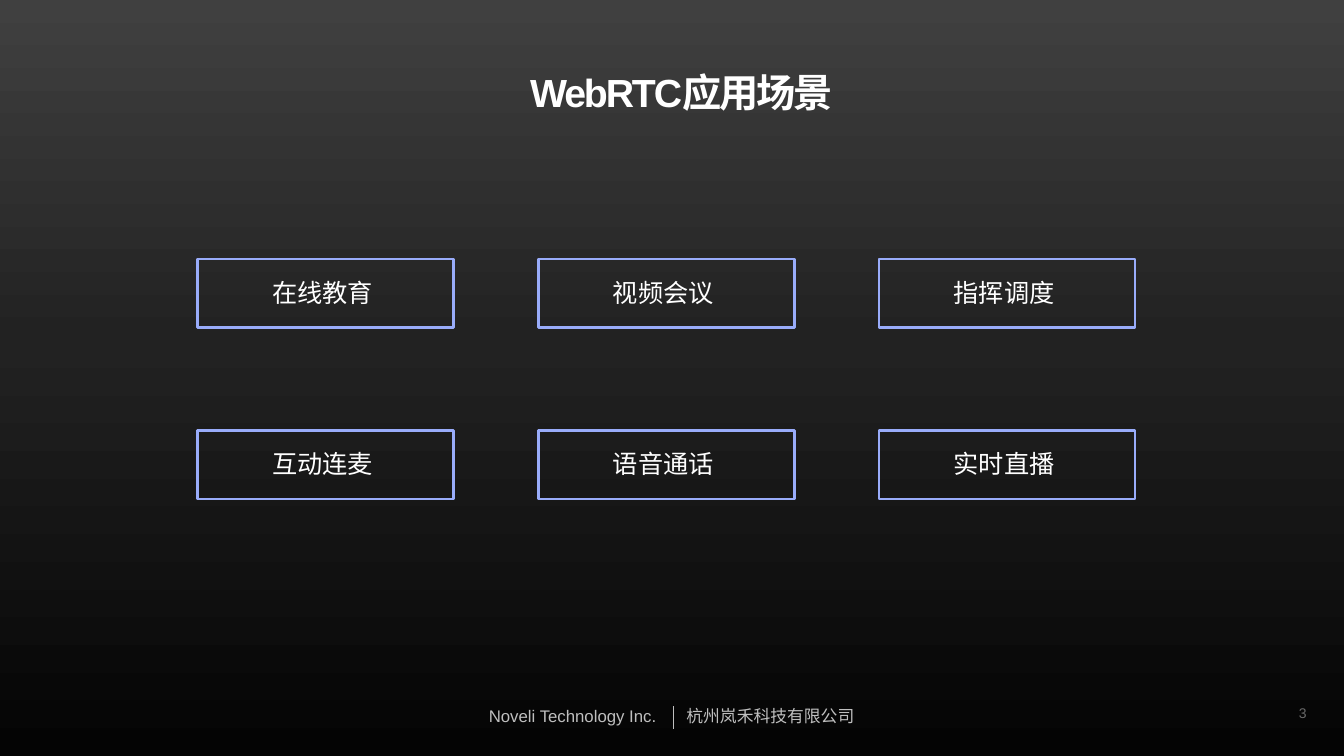
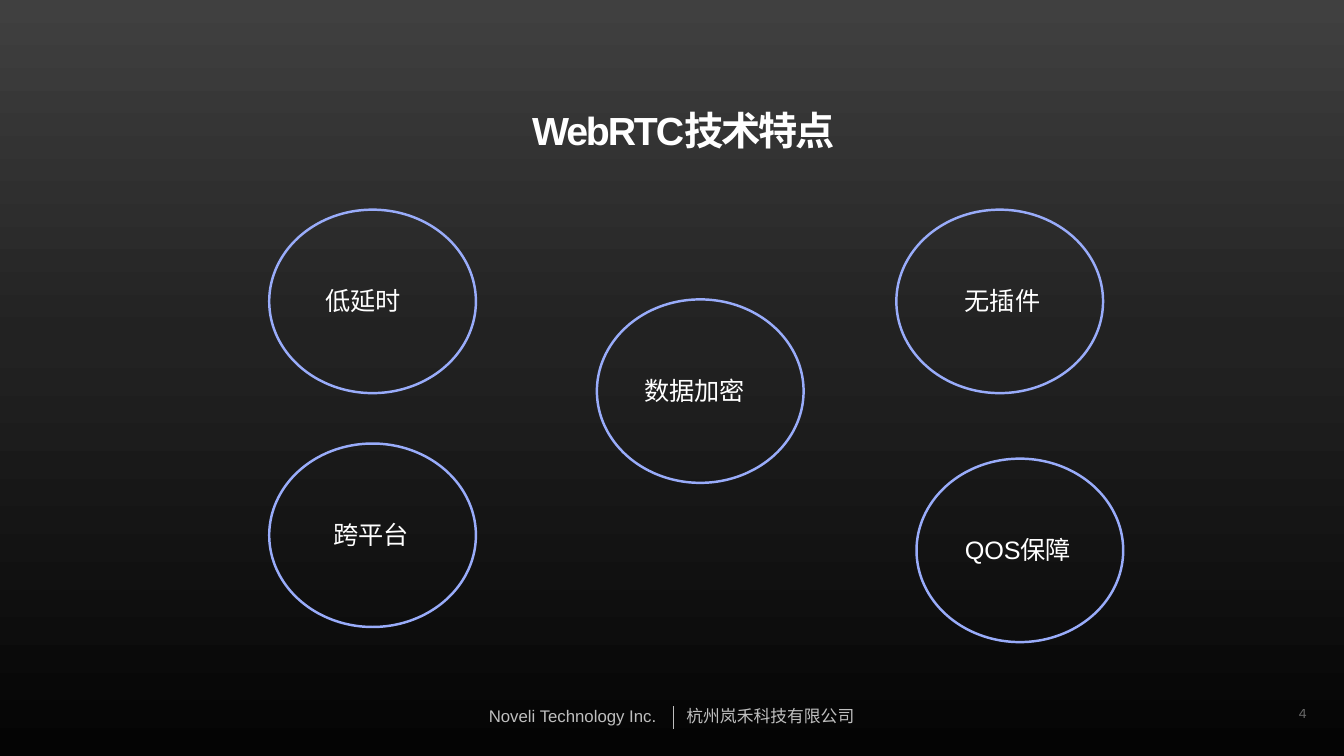
"""Build two dark slides on WebRTC use cases and features."""
from copy import deepcopy

from lxml import etree
from pptx import Presentation
from pptx.dml.color import RGBColor
from pptx.enum.shapes import MSO_CONNECTOR, MSO_SHAPE
from pptx.enum.text import MSO_ANCHOR, MSO_AUTO_SIZE, PP_ALIGN
from pptx.oxml.ns import qn
from pptx.util import Inches, Pt

RECTANGLE, OVAL = MSO_SHAPE.RECTANGLE, MSO_SHAPE.OVAL
STRAIGHT = MSO_CONNECTOR.STRAIGHT
MIDDLE, CENTER = MSO_ANCHOR.MIDDLE, PP_ALIGN.CENTER
GROW = MSO_AUTO_SIZE.SHAPE_TO_FIT_TEXT
FONT = "Arial"
COLORS = {
    "text": "FFFFFF",
    "footer": "BFBFBF",
    "outline": "99ACFA",
    "top": "404040",
    "middle": "222222",
    "bottom": "040404",
}
BACKDROP = ((0, "top"), (0.45, "middle"), (1, "bottom"))


def rgb(name):
    return RGBColor.from_string(COLORS[name])


class SlideBuilder:
    """Holds the deck, its style and the current page."""

    def __init__(self):
        self.deck = Presentation()
        self.deck.slide_width = Inches(13.33)
        self.deck.slide_height = Inches(7.5)
        self.page = None

    def start_page(self, number, title, left, top):
        self.page = self.deck.slides.add_slide(self.deck.slide_layouts[6])
        self.backdrop()
        self.footer()
        self.page_number(number)
        self.title(title, left, top)

    def shape(self, kind, left, top, width, height):
        shape = self.page.shapes.add_shape(
            kind, Inches(left), Inches(top), Inches(width), Inches(height))
        shape.shadow.inherit = False
        return shape

    def backdrop(self):
        panel = self.shape(RECTANGLE, 0, 0, 13.33, 7.5)
        panel.line.fill.background()
        panel.fill.gradient()
        panel.fill.gradient_angle = 270
        last_stop = panel.fill._fill._gradFill.gsLst[-1]
        last_stop.addnext(deepcopy(last_stop))
        for stop, (position, color) in zip(panel.fill.gradient_stops, BACKDROP):
            stop.position = position
            stop.color.rgb = rgb(color)

    def outline(self, kind, left, top, width, height):
        shape = self.shape(kind, left, top, width, height)
        shape.fill.background()
        shape.line.color.rgb = rgb("outline")
        shape.line.width = Pt(1.75)

    def text(self, words, left, top, width, height, size=18, color="text",
             wrap=True, grow=True):
        box = self.page.shapes.add_textbox(
            Inches(left), Inches(top), Inches(width), Inches(height))
        frame = box.text_frame
        frame.word_wrap = wrap
        if grow:
            frame.auto_size = GROW
        para = frame.paragraphs[0]
        span = para.add_run()
        span.text = words
        span.font.name = FONT
        span.font.size = Pt(size)
        span.font.color.rgb = rgb(color)
        return frame, para, span

    def title(self, words, left, top):
        _, para, span = self.text(words, left, top, 3.53, 0.45, 28, grow=False)
        para.line_spacing = 0.8
        span.font.bold = True
        span.font._element.set("spc", "-150")

    def footer(self):
        for words, left, width in (("Noveli Technology Inc.", 4.75, 1.96),
                                   ("杭州岚禾科技有限公司", 6.71, 1.88)):
            self.text(words, left, 6.95, width, 0.3, 12, "footer", wrap=False)
        divider = self.page.shapes.add_connector(
            STRAIGHT, Inches(6.68), Inches(7.23), Inches(6.68), Inches(7))
        divider.line.color.rgb = rgb("footer")
        divider.line.width = Pt(1)
        etree.SubElement(divider._element.spPr, qn("a:effectLst"))

    def page_number(self, number):
        frame, para, span = self.text(
            str(number), 12.64, 6.95, 0.56, 0.25, 10, grow=False)
        frame.margin_left = frame.margin_right = 0
        frame.margin_top = frame.margin_bottom = 0
        frame.vertical_anchor = MIDDLE
        para.alignment = CENTER
        tint = span.font._element.find(".//" + qn("a:srgbClr"))
        etree.SubElement(tint, qn("a:alpha"), val="40000")

    def save(self):
        self.deck.save("out.pptx")


builder = SlideBuilder()

builder.start_page(3, "WebRTC应用场景", 5.16, 0.72)
scenarios = (("在线教育", "视频会议", "指挥调度"),
             ("互动连麦", "语音通话", "实时直播"))
for row, labels in enumerate(scenarios):
    for column, label in enumerate(labels):
        left = 1.96 + 3.38 * column
        top = 2.57 + 1.7 * row
        builder.outline(RECTANGLE, left, top, 2.54, 0.68)
        builder.text(label, left + 0.64, top + 0.13, 1.25, 0.4)

builder.start_page(4, "WebRTC技术特点", 5.18, 1.1)
features = (
    ("低延时", 2.67, 2.08, 0.46, 1.13),
    ("数据加密", 5.92, 2.97, 0.37, 1.68),
    ("QOS保障", 9.09, 4.55, 0.38, 1.68),
    ("跨平台", 2.67, 4.4, 0.54, 1.52),
    ("无插件", 8.89, 2.08, 0.58, 1.25),
)
for label, left, top, indent, label_width in features:
    builder.outline(OVAL, left, top, 2.05, 1.82)
    builder.text(label, left + indent, top + 0.7, label_width, 0.4)

builder.save()
